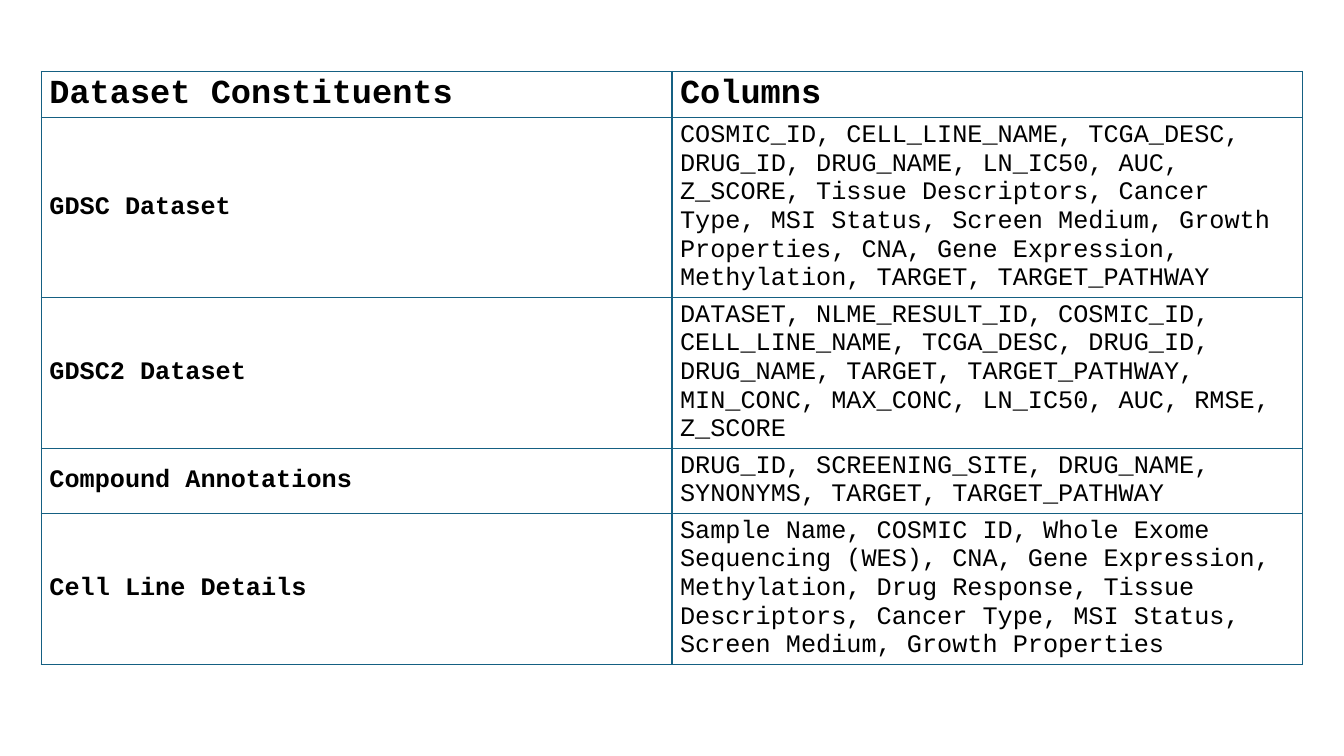
from lxml import etree
from pptx import Presentation
from pptx.dml.color import RGBColor
from pptx.enum.text import MSO_ANCHOR
from pptx.oxml.ns import qn
from pptx.util import Inches, Pt

MIDDLE = MSO_ANCHOR.MIDDLE
BLACK = RGBColor(0x00, 0x00, 0x00)
TEAL = RGBColor(0x15, 0x60, 0x82)
FONT = "Courier New"
SLIDE_W, SLIDE_H = 13.33, 7.5
LEFT, TOP, TABLE_H = 0.41, 0.71, 6.18
TABLE_W = SLIDE_W - 2 * LEFT
ROW_HEIGHTS = [0.31, 1.46, 1.23, 0.54, 1.23]

ROWS = [
    ("Dataset Constituents", "Columns"),
    ("GDSC Dataset",
     "COSMIC_ID, CELL_LINE_NAME, TCGA_DESC, DRUG_ID, DRUG_NAME, LN_IC50, AUC, "
     "Z_SCORE, Tissue Descriptors, Cancer Type, MSI Status, Screen Medium, "
     "Growth Properties, CNA, Gene Expression, Methylation, TARGET, TARGET_PATHWAY"),
    ("GDSC2 Dataset",
     "DATASET, NLME_RESULT_ID, COSMIC_ID, CELL_LINE_NAME, TCGA_DESC, DRUG_ID, "
     "DRUG_NAME, TARGET, TARGET_PATHWAY, MIN_CONC, MAX_CONC, LN_IC50, AUC, RMSE, "
     "Z_SCORE"),
    ("Compound Annotations",
     "DRUG_ID, SCREENING_SITE, DRUG_NAME, SYNONYMS, TARGET, TARGET_PATHWAY"),
    ("Cell Line Details",
     "Sample Name, COSMIC ID, Whole Exome Sequencing (WES), CNA, Gene Expression, "
     "Methylation, Drug Response, Tissue Descriptors, Cancer Type, MSI Status, "
     "Screen Medium, Growth Properties"),
]


def set_borders(cell):
    """Draw a thin line on all four sides of a cell."""
    tc_pr = cell._tc.get_or_add_tcPr()
    for i, side in enumerate(("a:lnL", "a:lnR", "a:lnT", "a:lnB")):
        ln = etree.Element(qn(side), w=str(Pt(1)))
        fill = etree.SubElement(ln, qn("a:solidFill"))
        etree.SubElement(fill, qn("a:srgbClr"), val=str(TEAL))
        tc_pr.insert(i, ln)  # borders come before the fill


def fill_cell(cell, text, size, bold):
    cell.fill.background()
    set_borders(cell)
    cell.vertical_anchor = MIDDLE
    cell.margin_left = cell.margin_right = Inches(0.08)
    cell.margin_top = cell.margin_bottom = Inches(0.04)
    r = cell.text_frame.paragraphs[0].add_run()
    r.text = text
    r.font.name = FONT
    r.font.size = Pt(size)
    r.font.bold = bold
    r.font.color.rgb = BLACK


def add_dataset_table(s):
    frame = s.shapes.add_table(len(ROWS), len(ROWS[0]), Inches(LEFT), Inches(TOP),
                               Inches(TABLE_W), Inches(TABLE_H))
    table = frame.table
    table.first_row = table.horz_banding = False
    for row, height in zip(table.rows, ROW_HEIGHTS):
        row.height = Inches(height)
    frame.height = Inches(TABLE_H)

    # Header row and first column are bold
    for i, texts in enumerate(ROWS):
        for j, text in enumerate(texts):
            fill_cell(table.cell(i, j), text, 24 if i == 0 else 18, i == 0 or j == 0)


def main():
    prs = Presentation()
    prs.slide_width, prs.slide_height = Inches(SLIDE_W), Inches(SLIDE_H)
    s = prs.slides.add_slide(prs.slide_layouts[6])
    add_dataset_table(s)
    prs.save("out.pptx")


if __name__ == "__main__":
    main()
